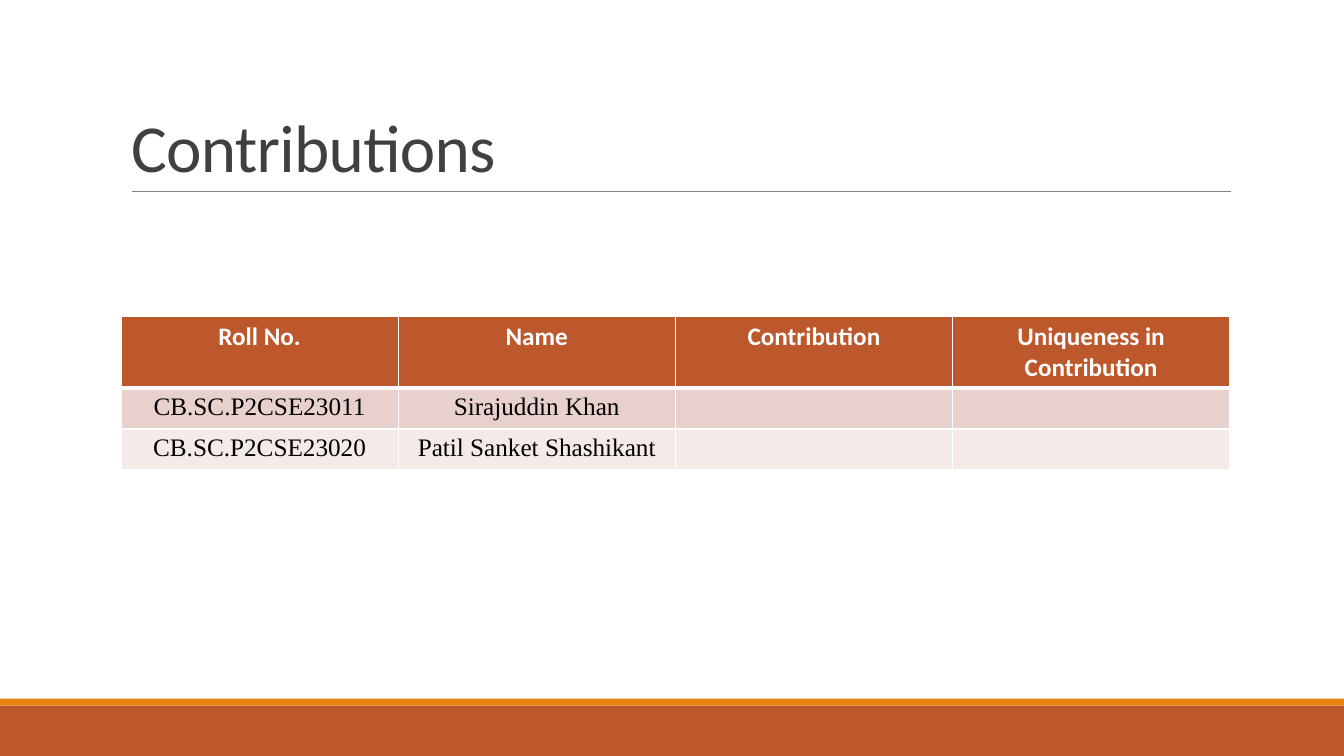
from lxml import etree
from pptx import Presentation
from pptx.dml.color import RGBColor
from pptx.enum import shapes, text
from pptx.oxml import ns
from pptx.util import Pt

COLORS = {
    "rust": "BD582C", "orange": "E48312", "rule": "808080", "title": "404040",
    "white": "FFFFFF", "black": "000000", "rose": "E8D1CD", "blush": "F4EAE8",
}


def write(frame, words, size, font, color, bold=False, align=text.PP_ALIGN.LEFT):
    para = frame.paragraphs[0]
    para.alignment = align
    para.font.size = Pt(size)
    if not words:
        return para
    span = para.add_run()
    span.text = words
    span.font.size = Pt(size)
    span.font.name = font
    span.font.bold = bold
    span.font.color.rgb = RGBColor.from_string(COLORS[color])
    return para


def add_border(cell, side, width):
    line = etree.SubElement(cell._tc.get_or_add_tcPr(), ns.qn(f"a:ln{side}"), w=str(Pt(width)))
    fill = etree.SubElement(line, ns.qn("a:solidFill"))
    etree.SubElement(fill, ns.qn("a:srgbClr"), val=COLORS["white"])


deck = Presentation()
deck.slide_width, deck.slide_height = Pt(960), Pt(540)
page = deck.slides.add_slide(deck.slide_layouts[5])

for top, height, color in [(504, 36, "rust"), (499, 5, "orange")]:
    band = page.shapes.add_shape(shapes.MSO_SHAPE.RECTANGLE, 0, Pt(top), Pt(960), Pt(height))
    band.shadow.inherit = False
    band.fill.solid()
    band.fill.fore_color.rgb = RGBColor.from_string(COLORS[color])
    band.line.fill.background()

rule = page.shapes.add_connector(
    shapes.MSO_CONNECTOR.STRAIGHT, Pt(94.2), Pt(136.8), Pt(879), Pt(136.8))
rule.line.color.rgb = RGBColor.from_string(COLORS["rule"])
rule.line.width = Pt(0.5)
etree.SubElement(rule._element.spPr, ns.qn("a:effectLst"))

title = page.shapes.title
title.left, title.top, title.width, title.height = Pt(86.4), Pt(22.6), Pt(792), Pt(114.2)
title.text_frame.word_wrap = True
title.text_frame.auto_size = text.MSO_AUTO_SIZE.NONE
title.text_frame.vertical_anchor = text.MSO_ANCHOR.BOTTOM
heading = write(title.text_frame, "Contributions", size=48, font="Calibri", color="title")
heading.line_spacing = 0.85
heading.runs[0]._r.get_or_add_rPr().set("spc", "-50")

rows = [
    ["Roll No.", "Name", "Contribution", "Uniqueness in Contribution"],
    ["CB.SC.P2CSE23011", "Sirajuddin Khan", "", ""],
    ["CB.SC.P2CSE23020", "Patil Sanket Shashikant", "", ""],
]
row_styles = [
    (50.4, "rust", {"font": "Calibri", "color": "white", "bold": True}),
    (29.2, "rose", {"font": "Times New Roman", "color": "black"}),
    (29.2, "blush", {"font": "Times New Roman", "color": "black"}),
]
table = page.shapes.add_table(3, 4, Pt(86.4), Pt(226.1), Pt(792), Pt(108.8)).table
for column in table.columns:
    column.width = Pt(198)
for index, (values, (height, fill, style)) in enumerate(zip(rows, row_styles)):
    table.rows[index].height = Pt(height)
    borders = {"L": 1, "R": 1, "T": 3 if index == 1 else 1, "B": 3 if index == 0 else 1}
    for cell, value in zip(table.rows[index].cells, values):
        for side, width in borders.items():
            add_border(cell, side, width)
        cell.fill.solid()
        cell.fill.fore_color.rgb = RGBColor.from_string(COLORS[fill])
        write(cell.text_frame, value, size=18, align=text.PP_ALIGN.CENTER, **style)

deck.save("out.pptx")
